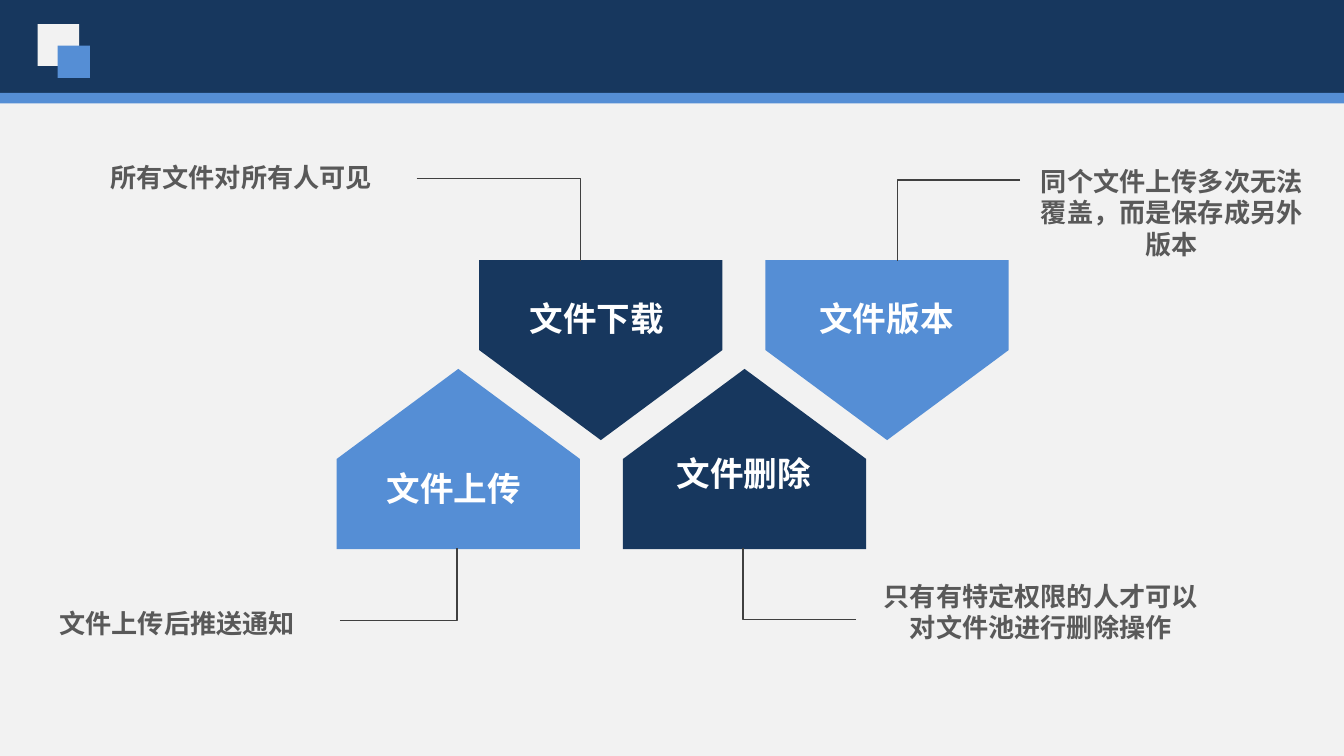
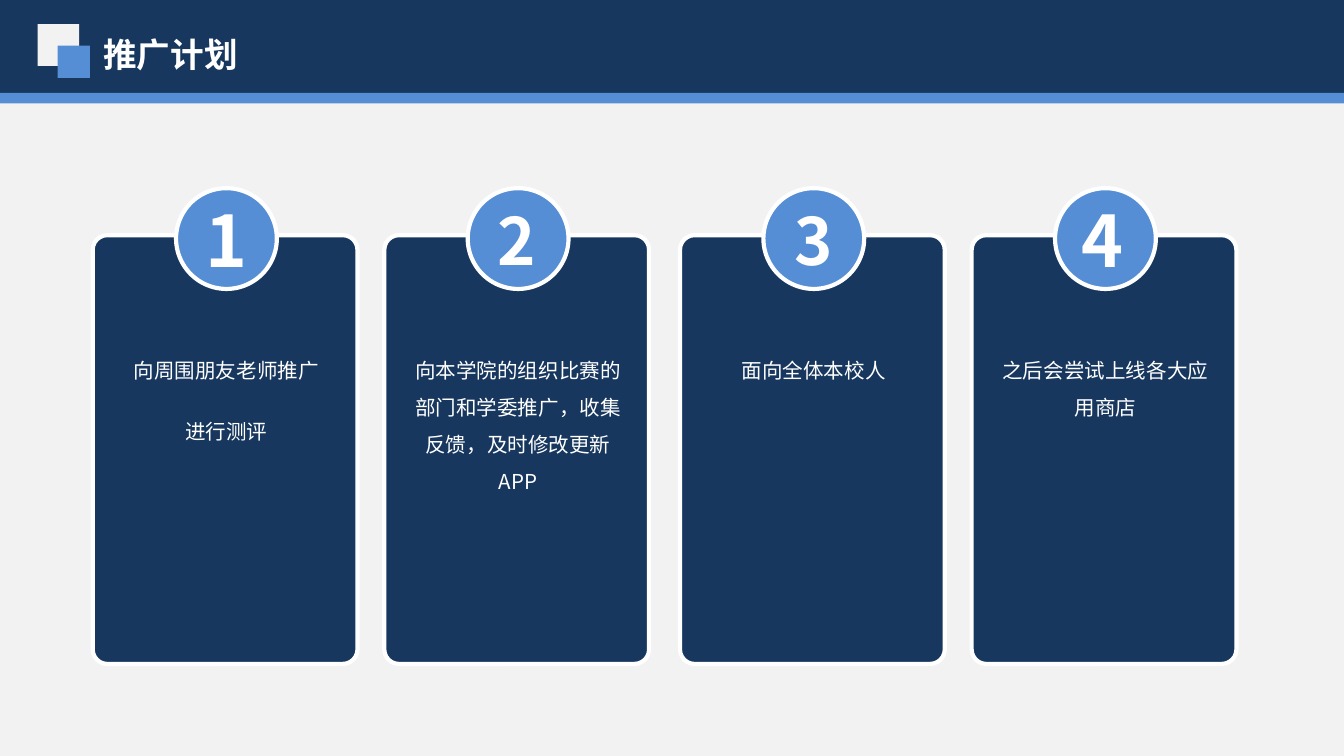
from pptx import Presentation
from pptx.dml.color import RGBColor
from pptx.enum.shapes import MSO_CONNECTOR, MSO_SHAPE as SHAPE
from pptx.enum.text import MSO_ANCHOR, MSO_AUTO_SIZE, PP_ALIGN
from pptx.oxml.ns import qn
from pptx.util import Inches, Pt
from lxml import etree

SLIDE_WIDTH = Inches(10)
SLIDE_HEIGHT = SLIDE_WIDTH * 9 // 16

NAVY = RGBColor(0x17, 0x37, 0x5E)
BLUE = RGBColor(0x55, 0x8E, 0xD5)
PALE = RGBColor(0xF2, 0xF2, 0xF2)
WHITE = RGBColor(0xFF, 0xFF, 0xFF)
GREY = RGBColor(0x59, 0x59, 0x59)
DARK = RGBColor(0x40, 0x40, 0x40)
FONT = "Noto Sans CJK SC"

# Header parts: left, top, width, height, colour
HEADER = [
    (0, 0, 10, 0.76, NAVY),
    (0, 0.69, 10, 0.08, BLUE),
    (0.28, 0.18, 0.31, 0.31, PALE),
    (0.43, 0.34, 0.24, 0.24, BLUE),
]
PLAN_TITLE = "推广计划"

# Pentagons: label, left, top, rotation, colour, label box (left, top, width)
PLATE_LENGTH, PLATE_WIDTH = 1.34, 1.81
PLATES = [
    ("文件上传", 2.74, 2.51, 270, BLUE, (2.58, 3.43, 1.59)),
    ("文件删除", 4.87, 2.51, 270, NAVY, (4.74, 3.32, 1.59)),
    ("文件下载", 3.8, 1.7, 90, NAVY, (3.61, 2.17, 1.66)),
    ("文件版本", 5.93, 1.7, 90, BLUE, (5.69, 2.17, 1.81)),
]
# Leaders: caption end, pentagon end
LEADERS = [
    ((3.1, 1.33), (4.32, 1.94)),
    ((7.59, 1.34), (6.68, 1.94)),
    ((2.53, 4.62), (3.4, 4.08)),
    ((6.37, 4.61), (5.53, 4.08)),
]
CAPTIONS = [
    ("所有文件对所有人可见", (0.52, 1.15, 2.55, 1.06)),
    ("文件上传后推送通知", (0.16, 4.47, 2.32, 0.92)),
    ("同个文件上传多次无法覆盖，而是保存成另外版本", (7.56, 1.18, 2.32, 0.99)),
    ("只有有特定权限的人才可以对文件池进行删除操作", (6.47, 4.27, 2.55, 1.06)),
]

# Cards: left, number size, number shift from badge centre, text height, paragraphs
CARD_TOP, CARD_WIDTH, CARD_HEIGHT = 1.75, 1.97, 3.19
BADGE_TOP, BADGE = 1.4, 0.75
CARDS = [
    (0.69, 38.1, 0, 0.82, ["向周围朋友老师推广", "进行测评"]),
    (2.86, 34.9, -0.01, 1.18,
     ["向本学院的组织比赛的部门和学委推广，收集反馈，及时修改更新APP"]),
    (5.06, 34.9, 0, 0.35, ["面向全体本校人"]),
    (7.23, 38.1, -0.02, 0.62, ["之后会尝试上线各大应用商店"]),
]


def add_box(shapes, kind, box, fill, outline=None):
    """Add a filled preset shape, with an outline colour if given."""
    sp = shapes.add_shape(kind, *map(Inches, box))
    sp.shadow.inherit = False
    sp.fill.solid()
    sp.fill.fore_color.rgb = fill
    if outline is None:
        sp.line.fill.background()
    else:
        sp.line.color.rgb = outline
        sp.line.width = Pt(2.25)
    return sp


def add_text(shapes, box, lines, size, color=WHITE, bold=True,
             align=PP_ALIGN.CENTER, before=0, after=0, spacing=None,
             wrap=True, grow=False, inset=(0.1, 0.05)):
    """Add a top-anchored text box with one paragraph per line."""
    tf = shapes.add_textbox(*map(Inches, box)).text_frame
    tf.word_wrap = wrap
    tf.vertical_anchor = MSO_ANCHOR.TOP
    tf.auto_size = MSO_AUTO_SIZE.SHAPE_TO_FIT_TEXT if grow else MSO_AUTO_SIZE.NONE
    tf.margin_left = tf.margin_right = Inches(inset[0])
    tf.margin_top = tf.margin_bottom = Inches(inset[1])
    for i, line in enumerate(lines):
        p = tf.add_paragraph() if i else tf.paragraphs[0]
        p.alignment = align
        p.space_before, p.space_after = Pt(before), Pt(after)
        if spacing:
            p.line_spacing = spacing
        r = p.add_run()
        r.text = line
        r.font.size, r.font.bold, r.font.name = Pt(size), bold, FONT
        r.font.color.rgb = color
        ea = etree.SubElement(r.font._element, qn("a:ea"))
        ea.set("typeface", FONT)


def add_leader(s, start, end):
    """Add a one-bend line running across first, then up or down."""
    cxn = s.shapes.add_connector(MSO_CONNECTOR.ELBOW, *map(Inches, start + end))
    cxn.line.color.rgb = DARK
    cxn.line.width = Pt(0.75)
    sp_pr = cxn._element.spPr
    sp_pr.find(qn("a:prstGeom")).set("prst", "bentConnector2")
    etree.SubElement(sp_pr, qn("a:effectLst"))


def new_slide(prs, title=None):
    """Add a blank slide with the header band and an optional title."""
    s = prs.slides.add_slide(prs.slide_layouts[6])
    for *box, color in HEADER:
        add_box(s.shapes, SHAPE.RECTANGLE, box, color)
    if title:
        add_text(s.shapes, (0.67, 0.2, 2.52, 0.4), [title], 18,
                 align=PP_ALIGN.LEFT, grow=True)
    return s


def build_files(prs):
    """Build the slide of four interlocking pentagons."""
    s = new_slide(prs)
    for label, left, top, turn, color, (x, y, w) in PLATES:
        group = s.shapes.add_group_shape().shapes
        plate = add_box(group, SHAPE.PENTAGON,
                        (left, top, PLATE_LENGTH, PLATE_WIDTH), color)
        plate.rotation = turn
        add_text(group, (x, y, w, 0.5), [label], 18)
    for start, end in LEADERS:
        add_leader(s, start, end)
    for text, box in CAPTIONS:
        add_text(s.shapes, box, [text], 14, GREY, after=6)


def build_plan(prs):
    """Build the slide of four numbered cards."""
    s = new_slide(prs, PLAN_TITLE)
    for number, (left, size, shift, height, lines) in enumerate(CARDS, 1):
        card = add_box(s.shapes, SHAPE.ROUNDED_RECTANGLE,
                       (left, CARD_TOP, CARD_WIDTH, CARD_HEIGHT), NAVY, WHITE)
        card.adjustments[0] = 0.055
        group = s.shapes.add_group_shape().shapes
        badge_left = left + 0.62
        add_box(group, SHAPE.OVAL, (badge_left, BADGE_TOP, BADGE, BADGE), BLUE, WHITE)
        w, h = (0.53, 0.74) if size > 36 else (0.5, 0.69)
        x = badge_left + (BADGE - w) / 2 + shift
        y = BADGE_TOP + (BADGE - h) / 2 + 0.01
        add_text(group, (x, y, w, h), [str(number)], size, wrap=False, grow=True)
        add_text(s.shapes, (left + 0.12, 2.53, 1.75, height), lines, 11,
                 bold=False, before=6.6, after=6.6, spacing=1.5, grow=True,
                 inset=(0.07, 0.04))


prs = Presentation()
prs.slide_width, prs.slide_height = SLIDE_WIDTH, SLIDE_HEIGHT
background = prs.slide_master.background.fill
background.solid()
background.fore_color.rgb = PALE
build_files(prs)
build_plan(prs)
prs.save("out.pptx")
